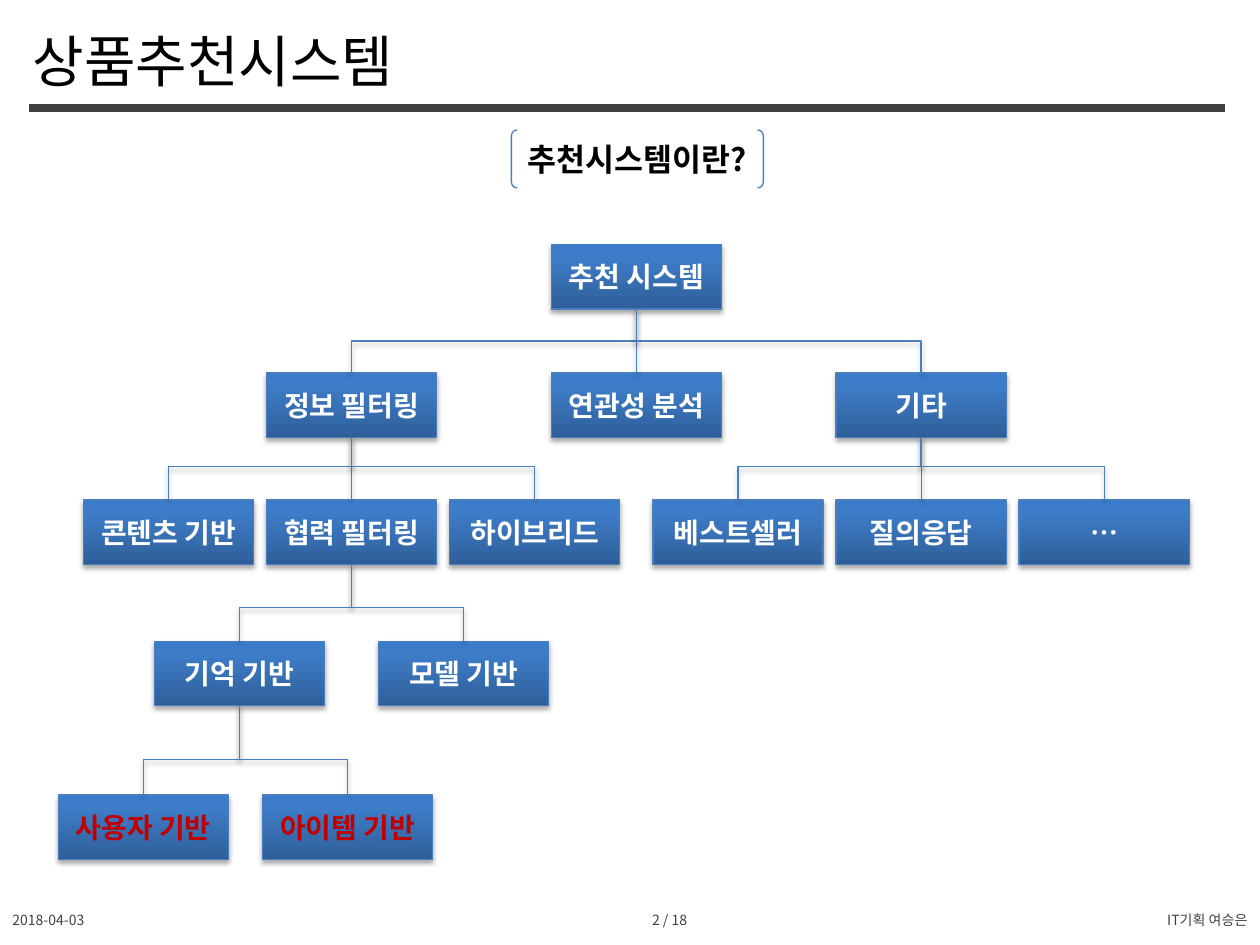
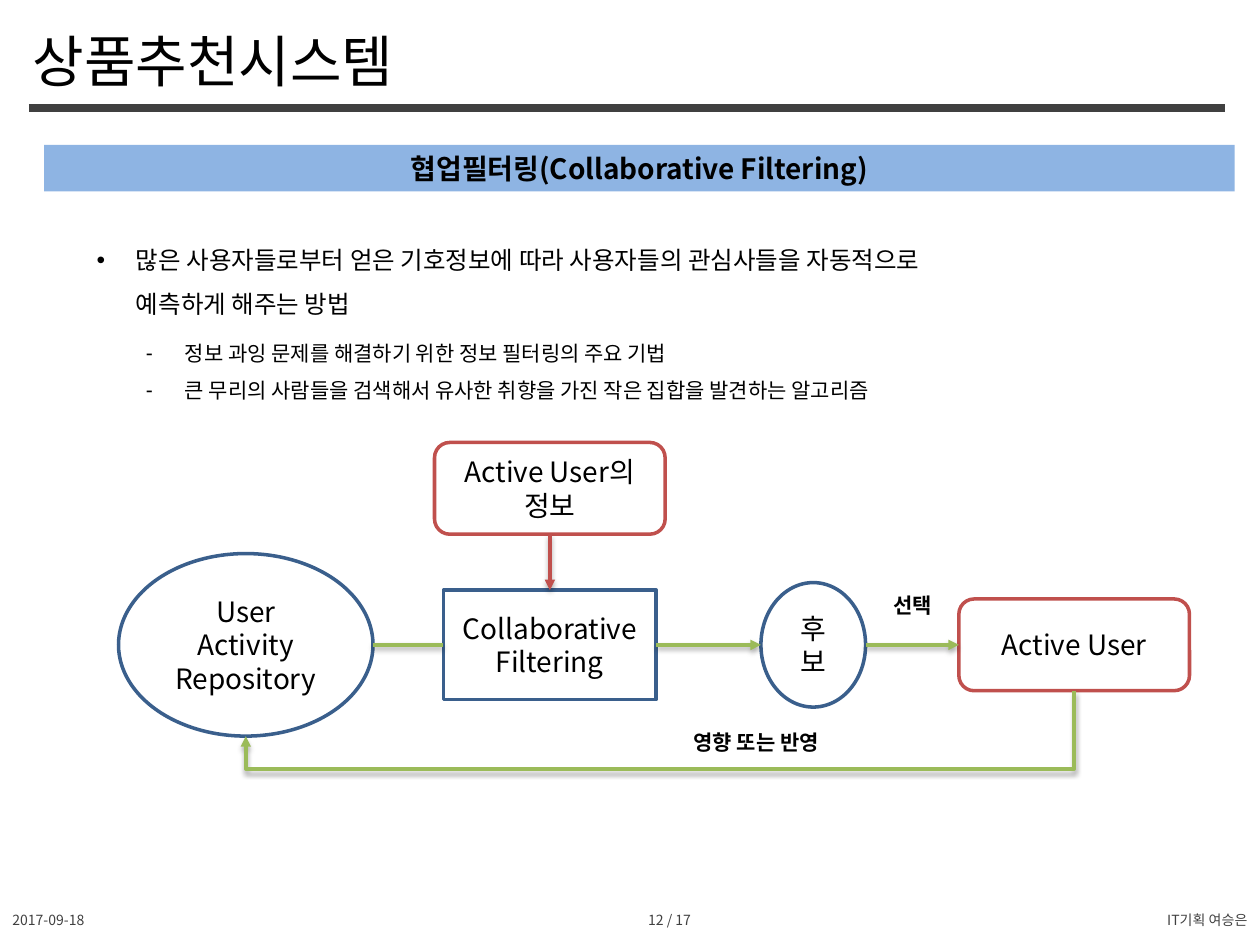
from collections import namedtuple
from copy import deepcopy
from dataclasses import dataclass

from lxml import etree
from pptx import Presentation
from pptx.dml.color import RGBColor
from pptx.enum.shapes import MSO_CONNECTOR, MSO_SHAPE
from pptx.enum.text import MSO_ANCHOR, PP_ALIGN
from pptx.oxml.ns import qn
from pptx.util import Cm, Pt


@dataclass(frozen=True)
class Theme:
    font: str = "Noto Sans CJK KR"
    black: str = "000000"
    white: str = "FFFFFF"
    grey: str = "404040"
    accent: str = "C00000"
    band: str = "8EB4E3"
    tree_line: str = "4B7EBC"
    navy: str = "3A5F8C"
    red: str = "C0504D"
    green: str = "9BBB59"
    node_stops: tuple = ((0, "2F5F99"), (0.8, "3D7CC7"), (1, "3A7CCB"))
    title: int = 32
    heading: int = 18
    label: int = 16
    body: int = 14
    detail: int = 12
    footer: int = 8
    thin: float = 0.75
    thick: float = 2
    rule: float = 4.5


T = Theme()
Box = namedtuple("Box", "left top width height")
Level = namedtuple("Level", "top step shift bend")

SLIDE_W, SLIDE_H = 25.4, 19.05
NODE_W, NODE_H = 3.43, 1.3
LEVELS = [
    Level(0, 0, 0, 0),
    Level(2.59, 5.74, 0, 0.5),
    Level(5.15, 3.69, 0, 0.47),
    Level(8, 4.52, 0, 0.56),
    Level(11.1, 4.12, 0.12, 0.6),
]
TREE = ("추천 시스템", [
    ("정보 필터링", [
        ("콘텐츠 기반", []),
        ("협력 필터링", [
            ("기억 기반", [("사용자 기반", []), ("아이템 기반", [])]),
            ("모델 기반", []),
        ]),
        ("하이브리드", []),
    ]),
    ("연관성 분석", []),
    ("기타", [("베스트셀러", []), ("질의응답", []), ("…", [])]),
])


def set_attrs(obj, values):
    for name, value in values.items():
        setattr(obj, name, value)


def rgb(color):
    return RGBColor.from_string(color)


def cm(box):
    return [Cm(v) for v in box]


def add_run(p, text, size, color=T.black, bold=False):
    r = p.add_run()
    r.text = text
    set_attrs(r.font, {"name": T.font, "size": Pt(size), "bold": bold})
    r.font.color.rgb = rgb(color)
    etree.SubElement(r.font._element, qn("a:ea"), typeface=T.font)


def fill_text(sp, lines, size, color=T.black, bold=False,
              align=PP_ALIGN.CENTER, anchor=MSO_ANCHOR.MIDDLE):
    tf = sp.text_frame
    set_attrs(tf, {"word_wrap": True, "vertical_anchor": anchor})
    for i, line in enumerate(lines):
        p = tf.paragraphs[0] if i == 0 else tf.add_paragraph()
        p.alignment = align
        add_run(p, line, size, color, bold)


def add_text(s, box, text, size, color=T.black, align=PP_ALIGN.LEFT,
             anchor=MSO_ANCHOR.MIDDLE):
    fill_text(s.shapes.add_textbox(*cm(box)), [text], size, color,
              align=align, anchor=anchor)


def set_effects(sp, shadow):
    """Replace the theme effects by a soft downward shadow, or by none."""
    sp_pr = sp._element.spPr
    effects = sp_pr.find(qn("a:effectLst"))
    if effects is None:
        effects = etree.SubElement(sp_pr, qn("a:effectLst"))
    if shadow:
        outer = etree.SubElement(effects, qn("a:outerShdw"), blurRad="39370",
                                 dist="22860", dir="5400000", rotWithShape="0")
        color = etree.SubElement(outer, qn("a:srgbClr"), val=T.black)
        etree.SubElement(color, qn("a:alpha"), val="35000")


def add_shape(s, kind, box, lines, size=T.label, color=T.black, bold=False,
              fill=None, line=None, width=T.thick, shadow=False):
    sp = s.shapes.add_shape(kind, *cm(box))
    sp.shadow.inherit = False
    if fill:
        sp.fill.solid()
        sp.fill.fore_color.rgb = rgb(fill)
    else:
        sp.fill.background()
    if line:
        sp.line.color.rgb = rgb(line)
        sp.line.width = Pt(width)
    else:
        sp.line.fill.background()
    set_effects(sp, shadow)
    fill_text(sp, lines, size, color, bold)
    return sp


def add_line(s, start, end, color, width, arrow=False, shadow=True, bend=None):
    """Draw a straight line, or a down-across-down elbow when bend is given."""
    (x1, y1), (x2, y2) = start, end
    if bend is None:
        c = s.shapes.add_connector(MSO_CONNECTOR.STRAIGHT,
                                   *cm((x1, y1, x2, y2)))
    else:
        mid_x, mid_y = (x1 + x2) / 2, (y1 + y2) / 2
        half_w, half_h = (y2 - y1) / 2, abs(x2 - x1) / 2
        c = s.shapes.add_connector(
            MSO_CONNECTOR.ELBOW,
            *cm((mid_x - half_w, mid_y - half_h, mid_x + half_w, mid_y + half_h)))
        xfrm = c._element.spPr.find(qn("a:xfrm"))
        xfrm.set("rot", "5400000")
        if x2 > x1:
            xfrm.set("flipV", "1")
        guides = c._element.spPr.find(".//" + qn("a:avLst"))
        etree.SubElement(guides, qn("a:gd"), name="adj1",
                         fmla=f"val {round(bend * 100000)}")
    c.line.color.rgb = rgb(color)
    c.line.width = Pt(width)
    if arrow:
        etree.SubElement(c._element.spPr.find(qn("a:ln")), qn("a:tailEnd"),
                         type="triangle")
    set_effects(c, shadow)


def add_frame(s, date, page):
    """Title, rule and footer shared by all slides."""
    add_line(s, (0.58, 2.18), (24.69, 2.18), T.grey, T.rule, shadow=False)
    add_text(s, Box(0.41, 0.41, 14.1, 1.63), "상품추천시스템", T.title,
             anchor=MSO_ANCHOR.TOP)
    footers = [
        (0, 5.92, date, PP_ALIGN.LEFT),
        (10.54, 5.92, page, PP_ALIGN.CENTER),
        (17.35, 8.05, "IT기획 여승은", PP_ALIGN.RIGHT),
    ]
    for left, width, text, align in footers:
        add_text(s, Box(left, 18.03, width, 1.02), text, T.footer, T.grey, align)


def add_node(s, box, text, color):
    sp = add_shape(s, MSO_SHAPE.RECTANGLE, box, [text], color=color, bold=True,
                   line=T.tree_line, width=T.thin, shadow=True)
    sp.fill.gradient()
    sp.fill.gradient_angle = 90
    stops = sp._element.spPr.find(".//" + qn("a:gsLst"))
    stops.append(deepcopy(stops[-1]))
    for stop, (position, stop_color) in zip(sp.fill.gradient_stops, T.node_stops):
        stop.position = position
        stop.color.rgb = rgb(stop_color)


def add_tree(s, box, node, depth=0, center=None):
    """Draw a node, its children centred below it, and the links to them."""
    text, children = node
    if center is None:
        center = box.left + box.width / 2
    top = box.top + LEVELS[depth].top
    color = T.accent if depth == len(LEVELS) - 1 else T.white
    add_node(s, Box(center - NODE_W / 2, top, NODE_W, NODE_H), text, color)
    for i, child in enumerate(children):
        level = LEVELS[depth + 1]
        offset = (i - (len(children) - 1) / 2) * level.step + level.shift
        add_tree(s, box, child, depth + 1, center + offset)
        add_line(s, (center, top + NODE_H),
                 (center + offset, box.top + level.top), T.tree_line, T.thin,
                 bend=level.bend if offset else None)


def add_bullets(s, box, items):
    """Each item is (bullet or None, text, size)."""
    tf = s.shapes.add_textbox(*cm(box)).text_frame
    tf.word_wrap = True
    for i, (bullet, text, size) in enumerate(items):
        p = tf.paragraphs[0] if i == 0 else tf.add_paragraph()
        p.line_spacing = 1.5
        p_pr = p._p.get_or_add_pPr()
        p_pr.set("marL", str(Cm(0.79)))
        if bullet:
            p_pr.set("indent", str(-Cm(0.79)))
            etree.SubElement(p_pr, qn("a:buFont"), typeface="Arial")
            etree.SubElement(p_pr, qn("a:buChar"), char=bullet)
        add_run(p, text, size)


def add_flow(s, box):
    axis = box.top + 4.08

    def on_axis(left, width, height):
        return Box(box.left + left, axis - height / 2, width, height)

    repository = on_axis(0, 5.13, 3.68)
    filtering = on_axis(6.55, 4.29, 2.21)
    candidates = on_axis(12.95, 2.11, 2.51)
    user = on_axis(16.94, 4.65, 1.85)
    user_info = Box(box.left + 6.37, box.top, 4.65, 1.85)

    navy = {"line": T.navy}
    red = {"line": T.red, "fill": T.white}
    for kind, place, lines, look in [
        (MSO_SHAPE.ROUNDED_RECTANGLE, user_info, ["Active User의 정보"], red),
        (MSO_SHAPE.OVAL, repository, ["User Activity Repository"], navy),
        (MSO_SHAPE.RECTANGLE, filtering, ["Collaborative", "Filtering"], navy),
        (MSO_SHAPE.OVAL, candidates, ["후보"], navy),
        (MSO_SHAPE.ROUNDED_RECTANGLE, user, ["Active User"], red),
    ]:
        add_shape(s, kind, place, lines, **look)

    row = [repository, filtering, candidates, user]
    for a, b in zip(row, row[1:]):
        add_line(s, (a.left + a.width, axis), (b.left, axis), T.green, T.thick,
                 arrow=a is not repository)
    info_x = user_info.left + user_info.width / 2
    add_line(s, (info_x, user_info.top + user_info.height),
             (info_x, filtering.top), T.red, T.thick, arrow=True)

    start, end = [(b.left + b.width / 2, b.top + b.height)
                  for b in (user, repository)]
    bend = (box.top + box.height - start[1]) / (end[1] - start[1])
    add_line(s, start, end, T.green, T.thick, arrow=True, bend=bend)

    for left, top, width, text in [(15.19, 2.9, 1.63, "선택"),
                                   (10.57, 5.66, 4.57, "영향 또는 반영")]:
        add_shape(s, MSO_SHAPE.RECTANGLE,
                  Box(box.left + left, box.top + top, width, 0.76), [text],
                  T.detail, bold=True, fill=T.white)


def build_overview(s):
    add_frame(s, "2018-04-03", "2 / 18")
    add_tree(s, Box(1.2, 4.93, 23.26, 12.4), TREE)
    bracket = add_shape(s, MSO_SHAPE.DOUBLE_BRACKET, Box(10.31, 2.62, 5.08, 1.17),
                        ["추천시스템이란?"], T.heading, bold=True,
                        line=T.tree_line, width=T.thin)
    bracket.adjustments[0] = 0.1


def build_filtering(s):
    add_frame(s, "2017-09-18", "12 / 17")
    add_shape(s, MSO_SHAPE.RECTANGLE, Box(0.89, 2.92, 24, 0.94),
              ["협업필터링(Collaborative Filtering)"], bold=True, fill=T.band)
    add_bullets(s, Box(1.7, 4.52, 22.2, 1.96), [
        ("•", "많은 사용자들로부터 얻은 기호정보에 따라 사용자들의 관심사들을 자동적으로", T.body),
        (None, "예측하게 해주는 방법", T.body),
    ])
    add_bullets(s, Box(2.69, 6.48, 22.2, 1.8), [
        ("-", "정보 과잉 문제를 해결하기 위한 정보 필터링의 주요 기법", T.detail),
        ("-", "큰 무리의 사람들을 검색해서 유사한 취향을 가진 작은 집합을 발견하는 알고리즘", T.detail),
    ])
    add_flow(s, Box(2.39, 8.92, 21.59, 6.58))


def main():
    prs = Presentation()
    set_attrs(prs, {"slide_width": Cm(SLIDE_W), "slide_height": Cm(SLIDE_H)})
    for build in (build_overview, build_filtering):
        build(prs.slides.add_slide(prs.slide_layouts[6]))
    prs.save("out.pptx")


if __name__ == "__main__":
    main()
